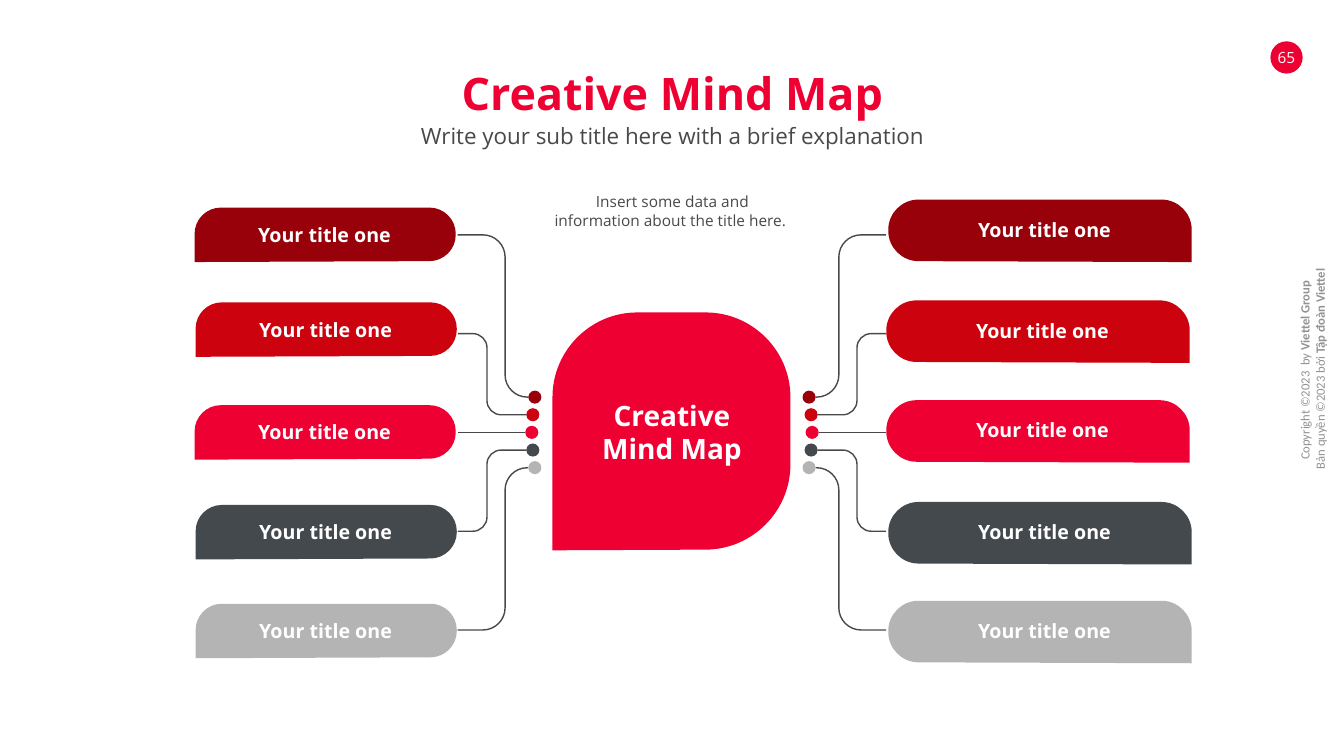
import math
from pptx import Presentation
from pptx.dml.color import RGBColor
from pptx.enum import shapes, text
from pptx.oxml import parse_xml
from pptx.oxml.ns import nsdecls, qn
from pptx.util import Inches, Pt

TITLE = "Creative Mind Map"
SUBTITLE = "Write your sub title here with a brief explanation"
CENTRE = "Creative\nMind Map"
SUMMARY = "Insert some data and information about the title here. "
PAGE_NUMBER = "65"
COPYRIGHT = [("Copyright ©2023  by ", "Viettel Group "),
             ("Bản quyền ©2023 bởi ", "Tập đoàn Viettel")]
BRANCHES = [  # label, colour, (left, top) of the left pill and of the right pill
    ("Your title one", "98010A", (1.93, 2.06), (8.81, 1.98)),
    ("Your title one", "CC020E", (1.94, 3.0), (8.79, 2.98)),
    ("Your title one", "EE0033", (1.93, 4.02), (8.79, 3.97)),
    ("Your title one", "44494D", (1.94, 5.01), (8.81, 4.98)),
    ("Your title one", "B5B4B4", (1.94, 5.99), (8.81, 5.96)),
]


class Theme:
    font, side_font = "Open Sans", "Calibri"
    accent, dark, muted, white = "EE0033", "494949", "929292", "FFFFFF"
    title, subtitle, centre, label, small, side = 32, 16, 20, 14, 11, 9
    line_width = 1


SLIDE_WIDTH, SLIDE_HEIGHT = 13.33, 7.5
MIDDLE_Y = 4.29
DOT_SIZE, DOT_GAP, WIRE_GAP = 0.13, 0.175, 0.98
WIRE_END = 4.54
# by distance from the middle row: dot left, bend x, bend radius
WIRES = [(5.21, None, None), (5.22, 4.83, 0.14), (5.24, 5.01, 0.22)]
CURVE = 0.45  # distance of a quarter arc's control point from its corner, in radii


def rgb(colour):
    return RGBColor.from_string(colour)


def style_run(span, size, colour, bold=False, font=Theme.font):
    span.font.name, span.font.size, span.font.bold = font, Pt(size), bold
    span.font.color.rgb = rgb(colour)


def write(frame, words, size, colour, bold=False):
    frame.margin_left = frame.margin_right = frame.margin_top = frame.margin_bottom = 0
    frame.word_wrap = True
    frame.auto_size = text.MSO_AUTO_SIZE.NONE
    frame.vertical_anchor = text.MSO_ANCHOR.TOP
    frame.text = words
    for para in frame.paragraphs:
        para.alignment = text.PP_ALIGN.CENTER
        para.line_spacing = 1.0
        para.space_before = Pt(0)
        for span in para.runs:
            style_run(span, size, colour, bold)


def place(item, left, top, width, height):
    item.left, item.top = Inches(left), Inches(top)
    item.width, item.height = Inches(width), Inches(height)


def add_text(page, at, words, size, colour, bold=False):
    box = page.shapes.add_textbox(*map(Inches, at))
    write(box.text_frame, words, size, colour, bold)


def paint(shape, colour):
    shape.shadow.inherit = False
    shape.fill.solid()
    shape.fill.fore_color.rgb = rgb(colour)
    shape.line.fill.background()


def add_dot(page, left, top, size, colour):
    dot = page.shapes.add_shape(shapes.MSO_SHAPE.OVAL, *map(Inches, (left, top, size, size)))
    paint(dot, colour)


def toward(corner, goal, distance):
    (x, y), (goal_x, goal_y) = corner[:2], goal[:2]
    share = distance / math.dist((x, y), (goal_x, goal_y))
    return x + (goal_x - x) * share, y + (goal_y - y) * share


def add_outline(page, corners, close):
    """Draw (x, y, radius) corners; each one with a radius becomes a single curve."""
    points, curve_starts = [], []
    for i, corner in enumerate(corners):
        radius = corner[2]
        if not radius:
            points.append(corner[:2])
            continue
        before, after = corners[i - 1], corners[(i + 1) % len(corners)]
        curve_starts.append(len(points))
        points += [toward(corner, before, radius), toward(corner, before, radius * CURVE),
                   toward(corner, after, radius * CURVE), toward(corner, after, radius)]
    points = [(Inches(x), Inches(y)) for x, y in points]
    builder = page.shapes.build_freeform(*points[0])
    builder.add_line_segments(points[1:], close=close)
    outline = builder.convert_to_shape()
    segments = list(outline._element.iter(qn("a:lnTo")))
    for start in curve_starts:
        curve = parse_xml(f"<a:cubicBezTo {nsdecls('a')}/>")
        segments[start].addprevious(curve)
        for segment in segments[start:start + 3]:
            curve.append(segment[0])
            segment.getparent().remove(segment)
    return outline


def add_leaf(page, left, top, width, height, radius, colour, sharp_left):
    """Rounded box with one sharp lower corner that dips slightly."""
    right, bottom = left + width, top + height
    lower_right = (right, bottom - 0.01, radius) if sharp_left else (right, bottom, 0)
    lower_left = (left, bottom, 0) if sharp_left else (left, bottom - 0.01, radius)
    corners = [(left, top, radius), (right, top, radius), lower_right, lower_left]
    paint(add_outline(page, corners, True), colour)


def add_wire(page, row, side):
    """Join a dot to its pill; side 1 is the left half, -1 the mirrored right half."""
    def across(x):
        return x if side == 1 else SLIDE_WIDTH - x

    offset = row - 2
    start, bend, radius = WIRES[abs(offset)]
    dot_y, pill_y = MIDDLE_Y + offset * DOT_GAP, MIDDLE_Y + offset * WIRE_GAP
    if bend is None:
        wire = page.shapes.add_connector(
            shapes.MSO_CONNECTOR.STRAIGHT,
            *map(Inches, (across(start), dot_y, across(WIRE_END), pill_y)))
        wire._element.spPr.append(parse_xml(f"<a:effectLst {nsdecls('a')}/>"))
    else:
        wire = add_outline(page, [(across(start), dot_y, 0), (across(bend), dot_y, radius),
                                  (across(bend), pill_y, radius),
                                  (across(WIRE_END), pill_y, 0)], False)
        wire.fill.background()
        wire.shadow.inherit = False
    wire.line.color.rgb = rgb(Theme.dark)
    wire.line.width = Pt(Theme.line_width)
    dot_left = start if side == 1 else across(start) - DOT_SIZE
    add_dot(page, dot_left, dot_y - DOT_SIZE / 2, DOT_SIZE, BRANCHES[row][1])


def add_copyright(page):
    box = page.shapes.add_textbox(*map(Inches, (10.71, 3.46, 4.61, 0.4)))
    box.rotation = 270
    frame = box.text_frame
    frame.word_wrap = True
    for i, (lead, owner) in enumerate(COPYRIGHT):
        para = frame.add_paragraph() if i else frame.paragraphs[0]
        para.alignment = text.PP_ALIGN.CENTER
        for words, bold in ((lead, False), (owner, True)):
            span = para.add_run()
            span.text = words
            style_run(span, Theme.side, Theme.muted, bold, Theme.side_font)


def main():
    deck = Presentation()
    deck.slide_width, deck.slide_height = Inches(SLIDE_WIDTH), Inches(SLIDE_HEIGHT)
    page = deck.slides.add_slide(deck.slide_layouts[0])
    title, subtitle = page.placeholders
    place(title, 0.73, 0.65, 11.88, 0.54)
    write(title.text_frame, TITLE, Theme.title, Theme.accent, True)
    place(subtitle, 0.73, 1.21, 11.88, 0.27)
    write(subtitle.text_frame, SUBTITLE, Theme.subtitle, Theme.dark)

    add_copyright(page)
    add_dot(page, 12.6, 0.41, 0.32, Theme.accent)
    add_text(page, (12.56, 0.48, 0.4, 0.19), PAGE_NUMBER, Theme.small, Theme.white)

    add_leaf(page, 5.48, 3.1, 2.36, 2.36, 0.84, Theme.accent, True)
    add_text(page, (5.65, 3.95, 2.03, 0.67), CENTRE, Theme.centre, Theme.white, True)
    add_text(page, (5.48, 1.91, 2.38, 0.37), SUMMARY, Theme.small, Theme.dark)

    for row, (label, colour, (left, top), (far_left, far_top)) in enumerate(BRANCHES):
        add_wire(page, row, 1)
        add_wire(page, row, -1)
        add_leaf(page, left, top, 2.59, 0.54, 0.26, colour, True)
        add_leaf(page, far_left, far_top, 3.01, 0.62, 0.3, colour, False)
        for x, y in ((left, top + 0.15), (far_left + 0.26, far_top + 0.18)):
            add_text(page, (x, y, 2.58, 0.24), label, Theme.label, Theme.white, True)

    deck.save("out.pptx")


if __name__ == "__main__":
    main()
